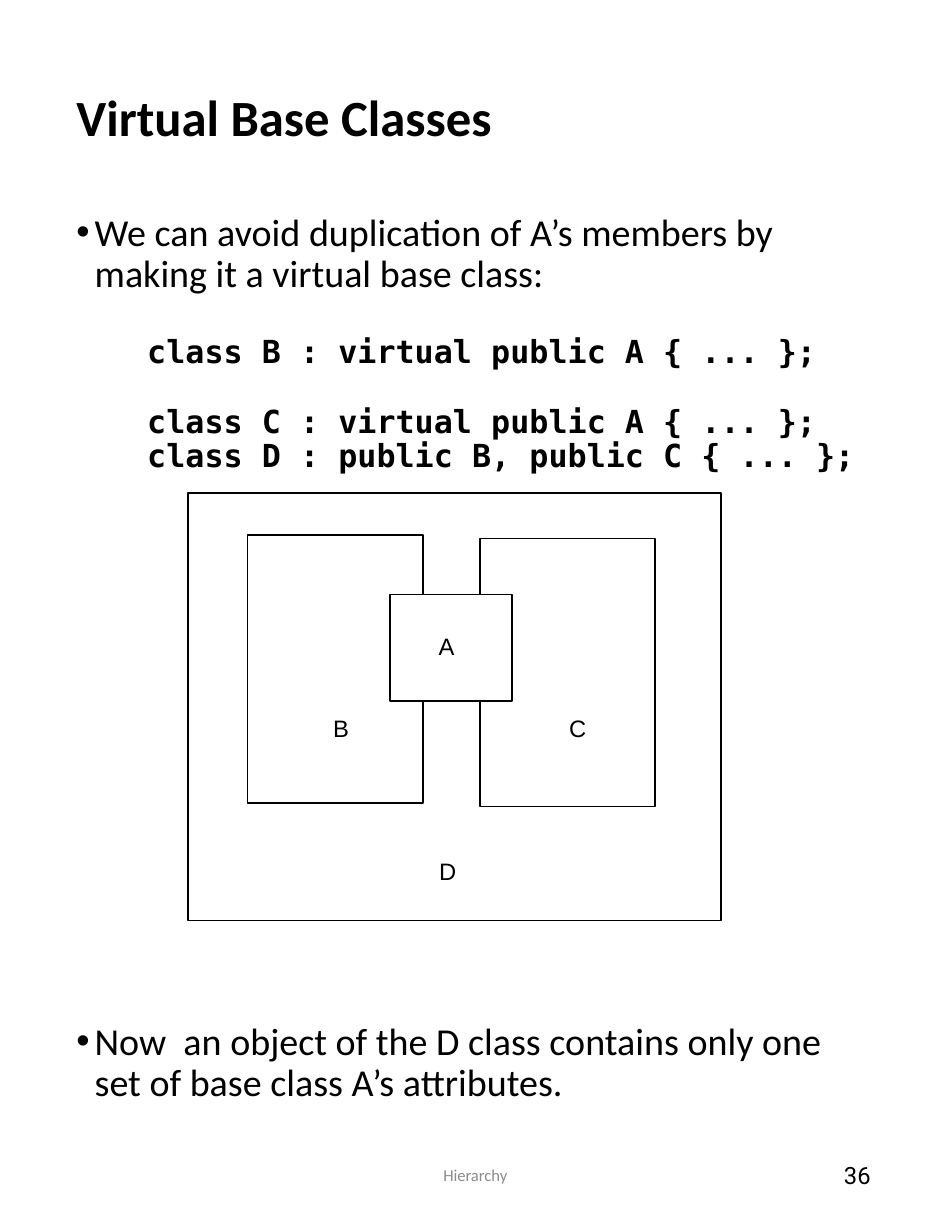
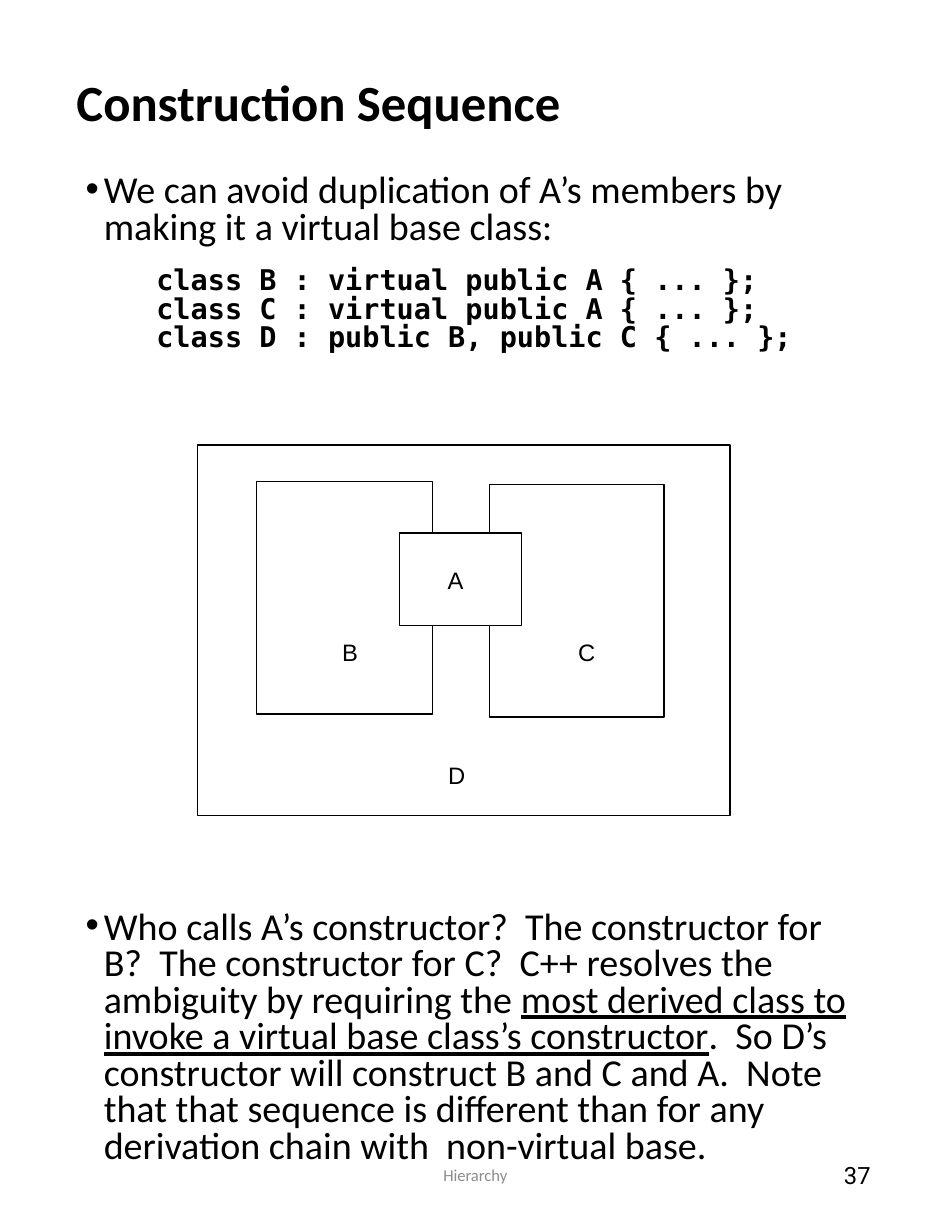
from dataclasses import dataclass
from typing import Optional

from lxml.etree import SubElement
from pptx import Presentation
from pptx.dml.color import RGBColor
from pptx.enum.shapes import MSO_SHAPE as SHAPE
from pptx.enum.text import MSO_ANCHOR as ANCHOR, MSO_AUTO_SIZE as AUTO, PP_ALIGN as ALIGN
from pptx.oxml.ns import qn
from pptx.util import Emu, Inches, Pt

BLACK = RGBColor(0x00, 0x00, 0x00)
WHITE = RGBColor(0xFF, 0xFF, 0xFF)
GRAY = RGBColor(0x8C, 0x8C, 0x8C)

WIDTH, HEIGHT = Inches(8.3), Inches(10.8)
HANG, CODE_INDENT = Inches(0.16), Inches(0.62)
SANS, MONO, LABEL, NUMBER = "Calibri", "DejaVu Sans Mono", "Arial", "Roboto"


@dataclass(frozen=True)
class Box:
    """Left, top, width and height in percent of the enclosing area."""
    left: float
    top: float
    width: float
    height: float

    def within(self, outer: "Box") -> "Box":
        return Box(outer.left + self.left * outer.width / 100,
                   outer.top + self.top * outer.height / 100,
                   self.width * outer.width / 100,
                   self.height * outer.height / 100)

    def emu(self) -> tuple[Emu, Emu, Emu, Emu]:
        return (Emu(int(self.left * WIDTH / 100)), Emu(int(self.top * HEIGHT / 100)),
                Emu(int(self.width * WIDTH / 100)), Emu(int(self.height * HEIGHT / 100)))


@dataclass(frozen=True)
class Style:
    font: str
    size: float
    color: RGBColor = BLACK
    bold: bool = False


@dataclass(frozen=True)
class Span:
    text: str
    underline: bool = False


@dataclass(frozen=True)
class Para:
    spans: tuple[Span, ...]
    before: float = 0
    code: bool = False


@dataclass(frozen=True)
class ClassBox:
    name: str
    box: Box
    label_left: float
    label_top: float
    fill: Optional[RGBColor] = None


@dataclass(frozen=True)
class Page:
    number: int
    title: str
    title_box: Box
    body_box: Box
    frame: Box
    code_size: float
    spacing: float
    code_gaps: tuple[float, float, float]
    closing_gap: float
    closing: tuple[Span, ...]


TITLE = Style(SANS, 32, bold=True)
BODY = Style(SANS, 24)
FOOTER = Style(SANS, 10.5, GRAY)
PAGE_NUMBER = Style(NUMBER, 15)
CLASS_LABEL = Style(LABEL, 15)
FOOTER_BOX = Box(33.13, 92.69, 33.73, 5.37)
NUMBER_BOX = Box(70.6, 92.69, 22.53, 5.37)
LABEL_WIDTH, LABEL_HEIGHT = 4.34, 3.33

CLASSES = (
    ClassBox("D", Box(0, 0, 100, 100), 44.8, 83.7),
    ClassBox("C", Box(54.8, 10.7, 32.8, 62.7), 69.2, 50.4),
    ClassBox("B", Box(11.1, 9.9, 33, 62.7), 24.8, 50.4, WHITE),
    ClassBox("A", Box(37.9, 23.8, 22.9, 24.9), 44.6, 31.1, WHITE),
)

OPENING = "We can avoid duplication of A’s members by making it a virtual base class:"
CODE = (
    "class B : virtual public A { ... };",
    "class C : virtual public A { ... };",
    "class D : public B, public C { ... };",
)

PAGES = (
    Page(36, "Virtual Base Classes", Box(6.87, 5.37, 86.27, 8.7),
         Box(6.87, 16.85, 86.27, 79.35), Box(19.88, 40, 56.27, 34.72),
         20, 0.9, (26, 22, 0), 346,
         (Span("Now  an object of the D class contains only one set of base class "
               "A’s attributes."),)),
    Page(37, "Construction Sequence", Box(6.87, 5.37, 86.27, 6.39),
         Box(7.83, 13.7, 84.94, 84.17), Box(20.84, 36.11, 56.27, 30.09),
         18, 0.8, (13, 1, 1), 352,
         (Span("Who calls A’s constructor?  The constructor for B?  The constructor "
               "for C?  C++ resolves the ambiguity by requiring the "),
          Span("most derived class to invoke a virtual base class’s constructor", True),
          Span(".  So D’s constructor will construct B and C and A.  Note that that "
               "sequence is different than for any derivation chain with  "
               "non-virtual base."))),
)


def place(sp, box: Box) -> None:
    sp.left, sp.top, sp.width, sp.height = box.emu()


def add_run(p, text: str, style: Style, underline: bool = False) -> None:
    r = p.add_run()
    r.text = text
    r.font.name = style.font
    r.font.size = Pt(style.size)
    r.font.bold = style.bold
    r.font.underline = underline
    r.font.color.rgb = style.color


def set_bullet(p, code: bool) -> None:
    pPr = p._p.get_or_add_pPr()
    pPr.set("marL", str(CODE_INDENT if code else HANG))
    pPr.set("indent", str(0 if code else -HANG))
    if code:
        SubElement(pPr, qn("a:buNone"))
    else:
        SubElement(pPr, qn("a:buFont")).set("typeface", LABEL)
        SubElement(pPr, qn("a:buChar")).set("char", "•")


def add_text(shapes, box: Box, text: str, style: Style, align: ALIGN,
             anchor: ANCHOR = ANCHOR.MIDDLE, wrap: bool = True) -> None:
    tf = shapes.add_textbox(*box.emu()).text_frame
    tf.word_wrap = wrap
    tf.vertical_anchor = anchor
    p = tf.paragraphs[0]
    p.alignment = align
    add_run(p, text, style)


def fill_title(sp, page: Page) -> None:
    place(sp, page.title_box)
    tf = sp.text_frame
    tf.auto_size = AUTO.NONE
    tf.vertical_anchor = ANCHOR.MIDDLE
    p = tf.paragraphs[0]
    p.alignment = ALIGN.LEFT
    p.line_spacing = 0.9
    add_run(p, page.title, TITLE)


def fill_body(sp, page: Page) -> None:
    place(sp, page.body_box)
    tf = sp.text_frame
    tf.auto_size = AUTO.NONE
    code_style = Style(MONO, page.code_size, bold=True)
    paras = [Para((Span(OPENING),))]
    paras += [Para((Span(line),), gap, True) for line, gap in zip(CODE, page.code_gaps)]
    paras.append(Para(page.closing, page.closing_gap))
    for i, para in enumerate(paras):
        p = tf.add_paragraph() if i else tf.paragraphs[0]
        set_bullet(p, para.code)
        p.line_spacing = page.spacing
        p.space_before = Pt(para.before)
        for span in para.spans:
            add_run(p, span.text, code_style if para.code else BODY, span.underline)


def draw_diagram(s, frame: Box) -> None:
    shapes = s.shapes.add_group_shape().shapes
    for item in CLASSES:
        sp = shapes.add_shape(SHAPE.RECTANGLE, *item.box.within(frame).emu())
        sp.shadow.inherit = False
        sp.line.color.rgb = BLACK
        sp.line.width = Pt(1)
        if item.fill is None:
            sp.fill.background()
        else:
            sp.fill.solid()
            sp.fill.fore_color.rgb = item.fill
    for item in CLASSES:
        corner = Box(item.label_left, item.label_top, 0, 0).within(frame)
        box = Box(corner.left, corner.top, LABEL_WIDTH, LABEL_HEIGHT)
        add_text(shapes, box, item.name, CLASS_LABEL, ALIGN.CENTER, ANCHOR.TOP, False)


def build_page(prs, page: Page) -> None:
    s = prs.slides.add_slide(prs.slide_layouts[1])
    fill_title(s.shapes.title, page)
    fill_body(s.placeholders[1], page)
    draw_diagram(s, page.frame)
    add_text(s.shapes, NUMBER_BOX, str(page.number), PAGE_NUMBER, ALIGN.RIGHT)
    add_text(s.shapes, FOOTER_BOX, " Hierarchy", FOOTER, ALIGN.CENTER)


def main() -> None:
    prs = Presentation()
    prs.slide_width, prs.slide_height = WIDTH, HEIGHT
    for page in PAGES:
        build_page(prs, page)
    prs.save("out.pptx")


if __name__ == "__main__":
    main()
